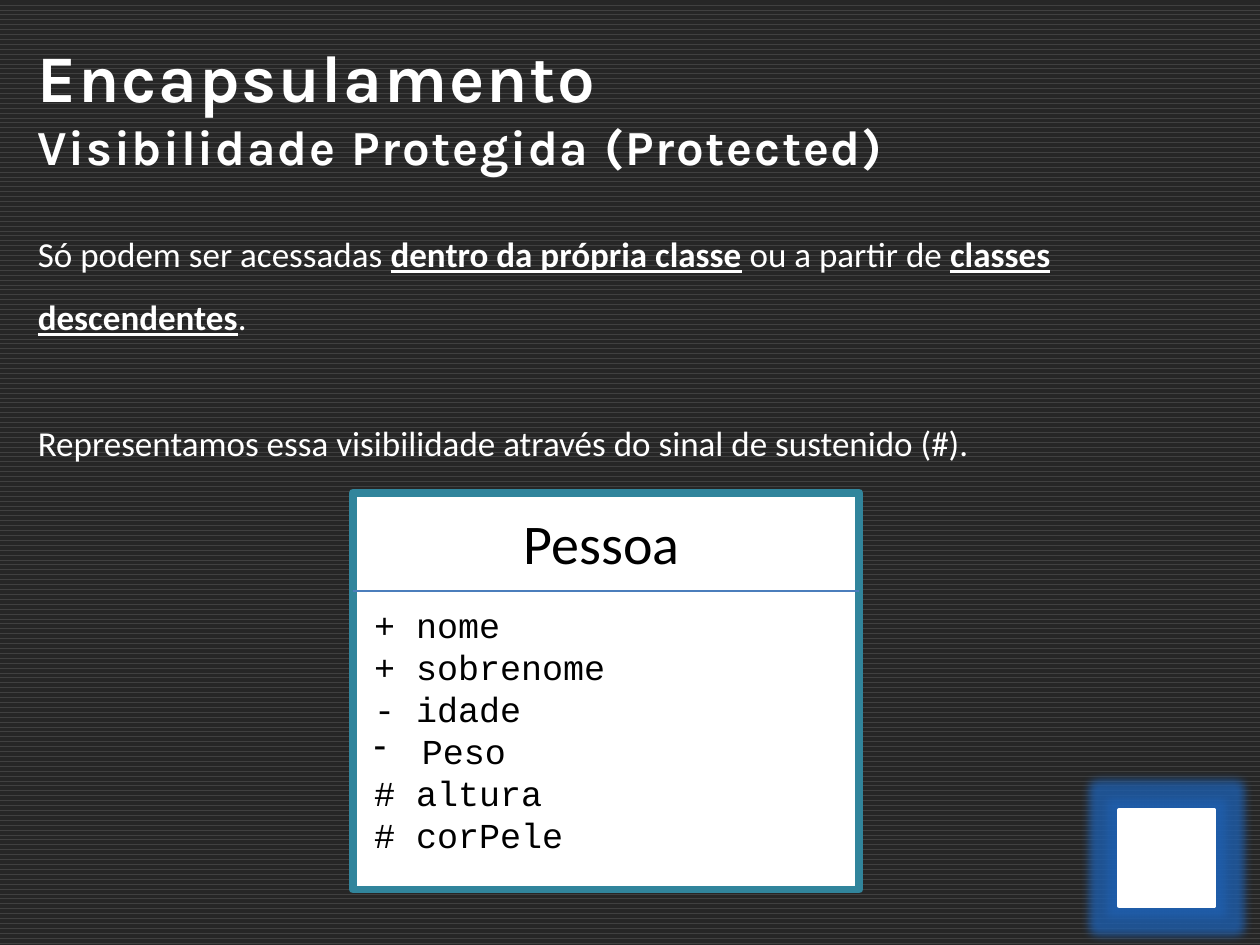
from dataclasses import dataclass

from lxml import etree
from pptx import Presentation
from pptx.dml.color import RGBColor
from pptx.enum.dml import MSO_PATTERN
from pptx.enum.shapes import MSO_CONNECTOR, MSO_SHAPE
from pptx.enum.text import MSO_ANCHOR, MSO_AUTO_SIZE, PP_ALIGN
from pptx.oxml import parse_xml
from pptx.oxml.ns import nsdecls, qn
from pptx.util import Emu, Pt

WAVE = MSO_PATTERN.WAVE
RECTANGLE = MSO_SHAPE.RECTANGLE
STRAIGHT = MSO_CONNECTOR.STRAIGHT
LEFT = PP_ALIGN.LEFT
TOP, MIDDLE = MSO_ANCHOR.TOP, MSO_ANCHOR.MIDDLE
NO_AUTOFIT = MSO_AUTO_SIZE.NONE
PX_PER_INCH = 100
TITLE_AND_CONTENT = 1


@dataclass(frozen=True)
class Theme:
    back: str = "262626"
    stripe: str = "404040"
    light: str = "FFFFFF"
    dark: str = "000000"
    frame: str = "31859C"
    divider: str = "4B7EBC"
    glow: str = "1F5FAE"
    title_font: str = "Karla"
    body_font: str = "Calibri"
    code_font: str = "Courier New"
    title_size: int = 38
    subtitle_size: int = 28
    body_size: int = 20
    class_size: int = 32


THEME = Theme()


def px(length):
    return Emu(length * 914400 // PX_PER_INCH)


def rgb(value):
    return RGBColor.from_string(value)


def place(shape, left, top, width, height):
    shape.left, shape.top = px(left), px(top)
    shape.width, shape.height = px(width), px(height)


def add_run(paragraph, text, font, size, color, bold=False, underline=False):
    run = paragraph.add_run()
    run.text = text
    run.font.name = font
    run.font.size = Pt(size)
    run.font.color.rgb = rgb(color)
    run.font.bold = bold
    run.font.underline = underline
    return run


def set_bullet(paragraph, indent=0, mark=None):
    properties = paragraph._p.get_or_add_pPr()
    properties.set("marL", str(px(indent)))
    properties.set("indent", str(-px(indent)))
    if mark:
        etree.SubElement(properties, qn("a:buFontTx"))
        etree.SubElement(properties, qn("a:buChar")).set("char", mark)
    else:
        etree.SubElement(properties, qn("a:buNone"))


def paint_background(slide):
    fill = slide.background.fill
    fill.patterned()
    fill.pattern = WAVE
    fill.fore_color.rgb = rgb(THEME.stripe)
    fill.back_color.rgb = rgb(THEME.back)


def add_box(slide, box, line_color, line_width):
    shape = slide.shapes.add_shape(RECTANGLE, *map(px, box))
    shape.shadow.inherit = False
    shape.fill.solid()
    shape.fill.fore_color.rgb = rgb(THEME.light)
    shape.line.color.rgb = rgb(line_color)
    shape.line.width = Pt(line_width)
    etree.SubElement(shape.line._get_or_add_ln(), qn("a:round"))
    return shape


def add_glow(shape):
    effects = shape._element.spPr.find(qn("a:effectLst"))
    effects.append(parse_xml(
        f'<a:glow {nsdecls("a")} rad="{Pt(11)}"><a:srgbClr val="{THEME.glow}">'
        '<a:alpha val="80000"/></a:srgbClr></a:glow>'))


def add_divider(slide, left, right, top):
    line = slide.shapes.add_connector(STRAIGHT, px(left), px(top), px(right), px(top))
    line.line.color.rgb = rgb(THEME.divider)
    line.line.width = Pt(0.75)
    etree.SubElement(line._element.spPr, qn("a:effectLst"))


def add_label(slide, box):
    frame = slide.shapes.add_textbox(*map(px, box)).text_frame
    frame.word_wrap = False
    return frame


def fill_title(title, heading, subheading):
    place(title, 20, 21, 969, 126)
    title.text_frame.auto_size = NO_AUTOFIT
    title.text_frame.vertical_anchor = MIDDLE
    paragraph = title.text_frame.paragraphs[0]
    paragraph.alignment = LEFT
    for text, size in ((heading, THEME.title_size), (subheading, THEME.subtitle_size)):
        run = add_run(paragraph, text, THEME.title_font, size, THEME.light, bold=True)
        run.font._element.set("spc", "100")
        if text == heading:
            paragraph.add_line_break()


def fill_body(body, statements):
    place(body, 20, 163, 945, 212)
    frame = body.text_frame
    frame.auto_size = NO_AUTOFIT
    frame.vertical_anchor = TOP
    for index, statement in enumerate(statements):
        paragraph = frame.add_paragraph() if index else frame.paragraphs[0]
        paragraph.line_spacing = 1.5
        paragraph.space_before = Pt(36 if index else 0)
        set_bullet(paragraph)
        for text, emphasis in statement:
            add_run(paragraph, text, THEME.body_font, THEME.body_size, THEME.light,
                    bold=emphasis, underline=emphasis)


def add_class_diagram(slide, class_name, attributes):
    left, top, width, height = 280, 391, 402, 315
    add_box(slide, (left, top, width, height), THEME.frame, 4.5)
    add_divider(slide, left, left + width, top + 78)
    name = add_label(slide, (406, 399, 145, 64))
    add_run(name.paragraphs[0], class_name, THEME.body_font, THEME.class_size, THEME.dark)
    members = add_label(slide, (287, 474, 205, 212))
    for index, (text, mark) in enumerate(attributes):
        paragraph = members.add_paragraph() if index else members.paragraphs[0]
        if mark:
            set_bullet(paragraph, 38, mark)
        add_run(paragraph, text, THEME.code_font, THEME.body_size, THEME.dark)


def main():
    deck = Presentation()
    deck.slide_width, deck.slide_height = px(1000), px(750)
    slide = deck.slides.add_slide(deck.slide_layouts[TITLE_AND_CONTENT])
    paint_background(slide)
    fill_title(slide.shapes.title, "Encapsulamento", "Visibilidade Protegida (Protected)")
    fill_body(slide.placeholders[1], (
        (("Só podem ser acessadas ", False), ("dentro da própria classe", True),
         (" ou a partir de ", False), ("classes descendentes", True), (".", False)),
        (("Representamos essa visibilidade através do sinal de sustenido (#).", False),),
    ))
    add_class_diagram(slide, "Pessoa", (
        ("+ nome", None), ("+ sobrenome", None), ("- idade", None),
        ("Peso", "-"), ("# altura", None), ("# corPele", None),
    ))
    add_glow(add_box(slide, (888, 643, 76, 76), THEME.light, 2))
    deck.save("out.pptx")


if __name__ == "__main__":
    main()
